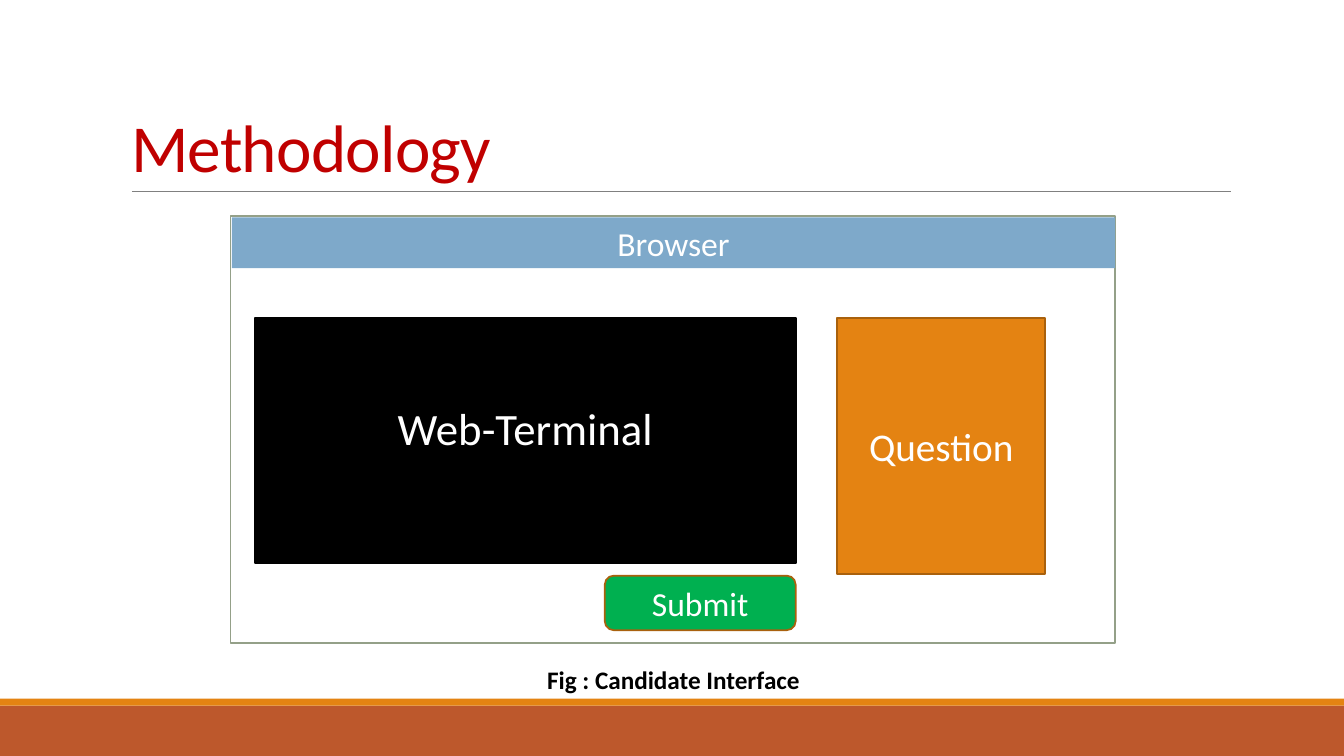
import pptx
import pptx.dml.color
import pptx.enum.shapes
import pptx.enum.text
import pptx.util
from lxml import etree

Pt = pptx.util.Pt
Shape = pptx.enum.shapes.MSO_SHAPE
Anchor = pptx.enum.text.MSO_ANCHOR
Align = pptx.enum.text.PP_ALIGN

COLORS = {
    "white": "FFFFFF", "black": "000000", "title": "C00000", "rule": "808080",
    "rust": "BD582C", "orange": "E48312", "brown": "A9610D",
    "sage": "94A088", "blue": "7EA9CA", "green": "00B050",
}


def color(name):
    return pptx.dml.color.RGBColor.from_string(COLORS[name])


def write(box, text, size, ink, align=Align.CENTER, anchor=Anchor.MIDDLE, bold=False):
    """Put one formatted paragraph in the box and return it."""
    frame = box.text_frame
    frame.word_wrap = True
    frame.auto_size = pptx.enum.text.MSO_AUTO_SIZE.NONE
    frame.vertical_anchor = anchor
    para = frame.paragraphs[0]
    para.text = text
    para.alignment = align
    para.font.name = "Calibri"
    para.font.size = Pt(size)
    para.font.bold = bold
    para.font.color.rgb = color(ink)
    return para


deck = pptx.Presentation()
deck.slide_width, deck.slide_height = Pt(960), Pt(540)
page = deck.slides.add_slide(deck.slide_layouts[5])

# Title and the rule below it
title = page.shapes.title
title.left, title.top, title.width, title.height = Pt(86.4), Pt(22.3), Pt(792), Pt(114.5)
heading = write(title, "Methodology", 48, "title", Align.LEFT, Anchor.BOTTOM)
heading.line_spacing = 0.85
heading.runs[0].font._element.set("spc", "-50")

rule = page.shapes.add_connector(
    pptx.enum.shapes.MSO_CONNECTOR.STRAIGHT, Pt(94.3), Pt(136.8), Pt(879.1), Pt(136.8))
rule.line.color.rgb = color("rule")
rule.line.width = Pt(0.5)
etree.SubElement(rule._element.spPr, pptx.oxml.ns.qn("a:effectLst"))

# Footer bands and browser mock-up: shape, place, fill, outline, label, label size
panels = [
    (Shape.RECTANGLE, (0, 504, 960, 36), "rust", None, "", 0),
    (Shape.RECTANGLE, (0, 499, 960, 5), "orange", None, "", 0),
    (Shape.RECTANGLE, (164.6, 154.2, 632, 305), "white", "sage", "", 0),
    (Shape.RECTANGLE, (598, 227, 148.6, 183), "orange", "brown", "Question", 28),
    (Shape.RECTANGLE, (182, 227.2, 386.4, 175), "black", "black", "", 0),
    (Shape.ROUNDED_RECTANGLE, (432, 411.2, 136.4, 39), "green", "brown", "Submit", 24),
    (Shape.RECTANGLE, (165.6, 155.2, 631, 36.3), "blue", None, "Browser", 24),
]
for kind, place, fill, outline, label, size in panels:
    panel = page.shapes.add_shape(kind, *map(Pt, place))
    panel.shadow.inherit = False
    panel.fill.solid()
    panel.fill.fore_color.rgb = color(fill)
    if outline:
        panel.line.color.rgb = color(outline)
        panel.line.width = Pt(1.25)
    else:
        panel.line.fill.background()
    if label:
        write(panel, label, size, "white")

# Terminal label and figure caption
captions = [
    ("Web-Terminal", (182, 283, 386.4, 46), 32, "white", False),
    ("Fig : Candidate Interface", (165.6, 471, 631, 29), 18, "black", True),
]
for text, place, size, ink, bold in captions:
    caption = page.shapes.add_textbox(*map(Pt, place))
    write(caption, text, size, ink, anchor=Anchor.TOP, bold=bold)

deck.save("out.pptx")
